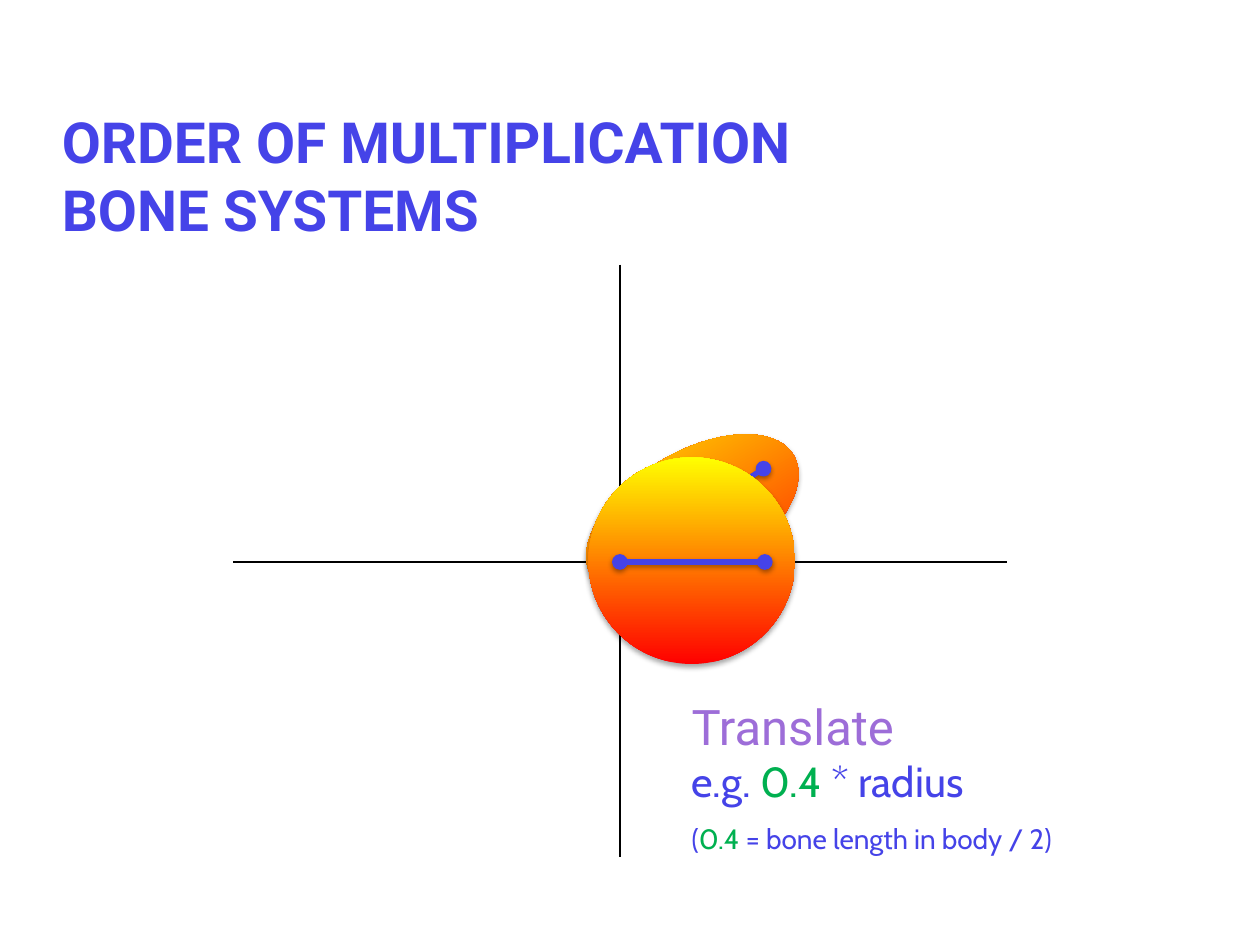
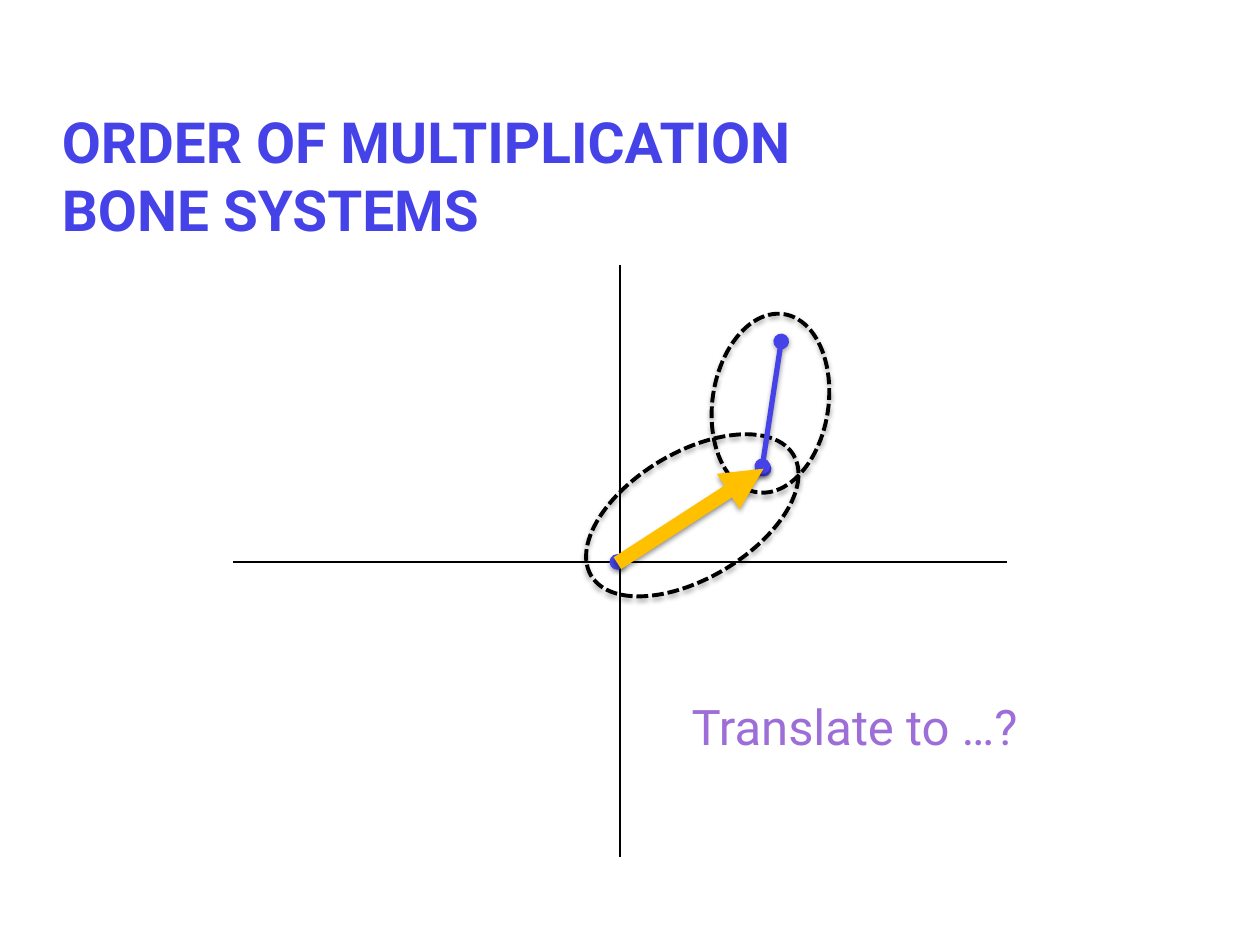
import pptx
import pptx.util
import pptx.dml.color
import pptx.enum.dml
import pptx.enum.shapes
import pptx.enum.text
import pptx.oxml.ns
from lxml import etree

Inches = pptx.util.Inches
Pt = pptx.util.Pt
qn = pptx.oxml.ns.qn

BLUE, PURPLE, GREEN = "4543E8", "9D6DD8", "00B050"
BLACK, AMBER, RED, YELLOW = "000000", "FFC000", "FF0000", "FFFF00"
HEADING_FONT, BODY_FONT = "Roboto", "Cabin"

TITLE = "ORDER OF MULTIPLICATION\vBONE SYSTEMS"
ORIGIN_X, ORIGIN_Y = 4.92, 4.46
BODY_ELLIPSE = (4.56, 3.59, 1.87, 1)
BODY_ROTATION = 329.2
BODY_START, BODY_END = (4.9, ORIGIN_Y), (6.06, 3.72)
CAPTION_LEFT, CAPTION_TOP = 5.39, 5.48


def color(hex_text):
    return pptx.dml.color.RGBColor.from_string(hex_text)


def set_effects(shape, opacity=0, distance=0):
    """Replace the theme shadow with a soft downward one, or none at zero opacity."""
    effects = etree.SubElement(shape._element.spPr, qn("a:effectLst"))
    if opacity:
        shadow = etree.SubElement(
            effects, qn("a:outerShdw"), blurRad=str(Pt(3.1)),
            dist=str(Pt(distance)), dir="5400000", rotWithShape="0")
        shade = etree.SubElement(shadow, qn("a:srgbClr"), val=BLACK)
        etree.SubElement(shade, qn("a:alpha"), val=str(opacity * 1000))


class Deck:
    def __init__(self):
        self.presentation = pptx.Presentation()
        self.presentation.slide_width = Inches(10)
        self.presentation.slide_height = Inches(7.5)
        self.slide = None

    def add_slide(self):
        """Start a slide with the shared title and coordinate axes."""
        layout = self.presentation.slide_layouts.get_by_name("Title Only")
        self.slide = self.presentation.slides.add_slide(layout)
        self.title(TITLE)
        self.line((1.85, ORIGIN_Y), (7.99, ORIGIN_Y), BLACK, 1.5)
        self.line((ORIGIN_X, 2.1), (ORIGIN_X, 6.8), BLACK, 1.5)

    def style(self, run, size, font, hex_text, bold=False):
        run.font.size = Pt(size)
        run.font.name = font
        run.font.bold = bold
        run.font.color.rgb = color(hex_text)

    def title(self, text):
        title = self.slide.shapes.title
        title.left, title.top = Inches(0.39), Inches(0.85)
        title.width, title.height = Inches(9), Inches(1.08)
        frame = title.text_frame
        frame.text = text
        frame.auto_size = pptx.enum.text.MSO_AUTO_SIZE.NONE
        frame.vertical_anchor = pptx.enum.text.MSO_ANCHOR.TOP
        frame.margin_top = frame.margin_bottom = 0
        paragraph = frame.paragraphs[0]
        paragraph.alignment = pptx.enum.text.PP_ALIGN.LEFT
        for run in paragraph.runs:
            self.style(run, 32.4, HEADING_FONT, BLUE, bold=True)

    def line(self, start, end, hex_text, width, head=None, tail=None):
        connector = self.slide.shapes.add_connector(
            pptx.enum.shapes.MSO_CONNECTOR.STRAIGHT,
            *(Inches(value) for value in (*start, *end)))
        connector.line.color.rgb = color(hex_text)
        connector.line.width = Pt(width)
        outline = connector.line._get_or_add_ln()
        for tag, kind in (("a:headEnd", head), ("a:tailEnd", tail)):
            if kind:
                etree.SubElement(outline, qn(tag), type=kind)
        if head or tail:
            set_effects(connector, opacity=38, distance=1.6)
        else:
            set_effects(connector)

    def bone(self, start, end):
        self.line(start, end, BLUE, 3, head="oval", tail="oval")

    def ellipse(self, box, rotation=0):
        ellipse = self.slide.shapes.add_shape(
            pptx.enum.shapes.MSO_SHAPE.OVAL, *(Inches(value) for value in box))
        ellipse.rotation = rotation
        return ellipse

    def solid_body(self, box, rotation=0):
        """Draw a body shaded from red at the bottom to yellow at the top."""
        body = self.ellipse(box, rotation)
        body.fill.gradient()
        body.fill.gradient_angle = 90
        for stop, hex_text in zip(body.fill.gradient_stops, (RED, YELLOW)):
            stop.color.rgb = color(hex_text)
        body.line.fill.background()
        set_effects(body, opacity=35, distance=1.8)

    def dashed_body(self, box, rotation=0):
        body = self.ellipse(box, rotation)
        body.fill.background()
        body.line.color.rgb = color(BLACK)
        body.line.width = Pt(2.25)
        body.line.dash_style = pptx.enum.dml.MSO_LINE.SQUARE_DOT
        set_effects(body, opacity=35, distance=1.8)

    def caption(self, top, width, height, paragraphs):
        """Each paragraph is (size, font, [(text, colour), ...])."""
        box = self.slide.shapes.add_textbox(
            Inches(CAPTION_LEFT), Inches(top), Inches(width), Inches(height))
        frame = box.text_frame
        frame.word_wrap = False
        frame.auto_size = pptx.enum.text.MSO_AUTO_SIZE.SHAPE_TO_FIT_TEXT
        for index, (size, font, pieces) in enumerate(paragraphs):
            paragraph = frame.add_paragraph() if index else frame.paragraphs[0]
            for text, hex_text in pieces:
                run = paragraph.add_run()
                run.text = text
                self.style(run, size, font, hex_text)


def add_translate_slide(deck):
    deck.add_slide()
    deck.solid_body(BODY_ELLIPSE, BODY_ROTATION)
    deck.bone(BODY_START, BODY_END)
    deck.solid_body((4.67, 3.63, 1.64, 1.64))
    deck.bone((ORIGIN_X, ORIGIN_Y), (6.07, ORIGIN_Y))
    deck.caption(CAPTION_TOP, 2.54, 0.98, [
        (28, HEADING_FONT, [("Translate", PURPLE)]),
        (24, BODY_FONT, [("e.g. ", BLUE), ("0.4", GREEN), (" * radius", BLUE)]),
    ])
    deck.caption(6.47, 3.19, 0.37, [
        (16, BODY_FONT, [("(", BLUE), ("0.4", GREEN),
                         (" = bone length in body / 2)", BLUE)]),
    ])


def add_question_slide(deck):
    deck.add_slide()
    deck.dashed_body(BODY_ELLIPSE, BODY_ROTATION)
    deck.dashed_body((5.4, 2.74, 1.43, 0.92), 278.5)
    deck.bone(BODY_START, BODY_END)
    deck.bone((6.05, 3.7), (6.2, 2.71))
    deck.caption(CAPTION_TOP, 3.11, 0.57, [
        (28, HEADING_FONT, [("Translate to …?", PURPLE)]),
    ])
    deck.line((4.9, 4.47), BODY_END, AMBER, 8, tail="triangle")


def main():
    deck = Deck()
    add_translate_slide(deck)
    add_question_slide(deck)
    deck.presentation.save("out.pptx")


if __name__ == "__main__":
    main()
